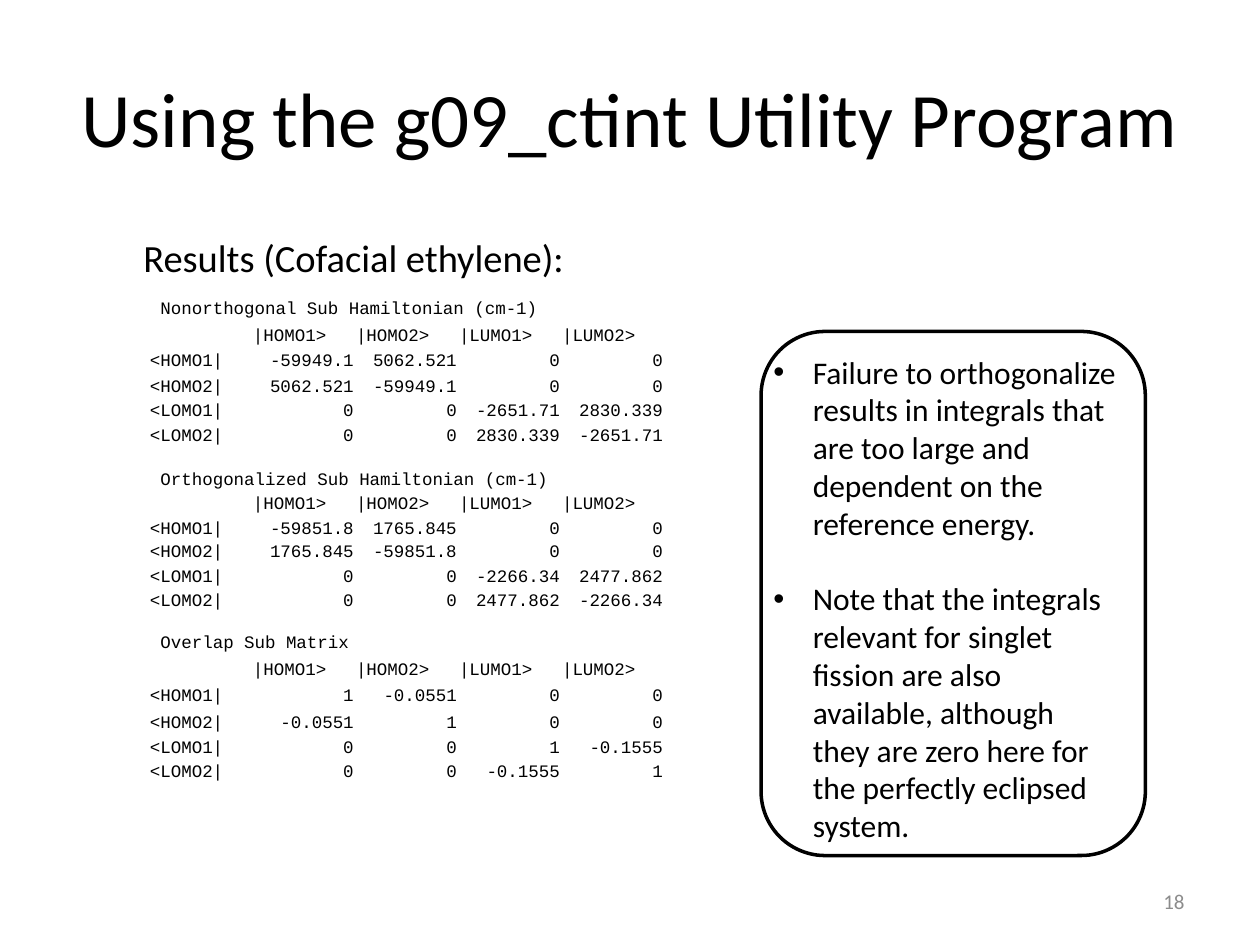
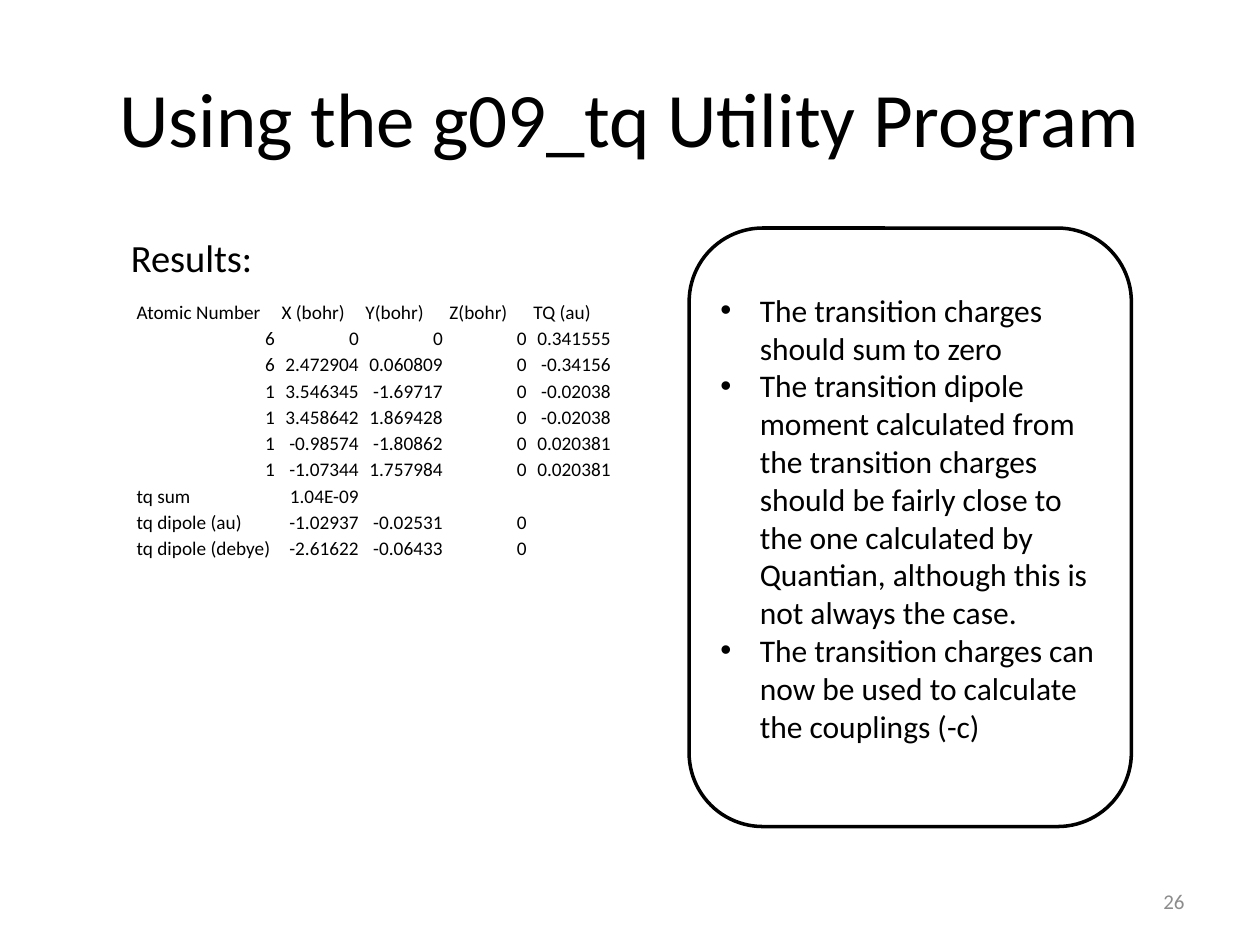
from dataclasses import dataclass

from lxml import etree
from pptx import Presentation
from pptx.dml.color import RGBColor
from pptx.enum.shapes import MSO_SHAPE
from pptx.enum.text import MSO_ANCHOR, PP_ALIGN
from pptx.oxml.ns import qn
from pptx.util import Pt

LEFT, CENTER, RIGHT = PP_ALIGN.LEFT, PP_ALIGN.CENTER, PP_ALIGN.RIGHT
TOP, MIDDLE, BOTTOM = MSO_ANCHOR.TOP, MSO_ANCHOR.MIDDLE, MSO_ANCHOR.BOTTOM
ROUNDED_RECTANGLE = MSO_SHAPE.ROUNDED_RECTANGLE


@dataclass(frozen=True)
class Theme:
    text: RGBColor = RGBColor(0, 0, 0)
    muted: RGBColor = RGBColor(0x8C, 0x8C, 0x8C)
    body_font: str = "Calibri"
    code_font: str = "Courier New"
    title_size: int = 44
    heading_size: int = 22
    note_size: int = 18
    number_size: int = 12
    matrix_size: int = 10
    charge_size: int = 11
    outline: int = 2
    bullet_indent: float = 22.5
    cell_inset: float = 0.7


theme = Theme()

matrix_blocks = [
    ("Nonorthogonal Sub Hamiltonian (cm-1)", 4, [
        "-59949.1 5062.521 0 0",
        "5062.521 -59949.1 0 0",
        "0 0 -2651.71 2830.339",
        "0 0 2830.339 -2651.71",
    ]),
    ("Orthogonalized Sub Hamiltonian (cm-1)", 4, [
        "-59851.8 1765.845 0 0",
        "1765.845 -59851.8 0 0",
        "0 0 -2266.34 2477.862",
        "0 0 2477.862 -2266.34",
    ]),
    ("Overlap Sub Matrix", 2, [
        "1 -0.0551 0 0",
        "-0.0551 1 0 0",
        "0 0 1 -0.1555",
        "0 0 -0.1555 1",
    ]),
]
matrix_rows, matrix_spans = [], {}
for block_title, span, values in matrix_blocks:
    matrix_spans[len(matrix_rows)] = span
    matrix_rows.append([block_title, "", "", "", ""])
    matrix_rows.append(["", "|HOMO1>", "|HOMO2>", "|LUMO1>", "|LUMO2>"])
    for label, line in zip(["<HOMO1|", "<HOMO2|", "<LOMO1|", "<LOMO2|"], values):
        matrix_rows.append([label, *line.split()])

charge_rows = [
    ["Atomic Number", "X (bohr)", "Y(bohr)", "Z(bohr)", "TQ (au)"],
    ["6", "0", "0", "0", "0.341555"],
    ["6", "2.472904", "0.060809", "0", "-0.34156"],
    ["1", "3.546345", "-1.69717", "0", "-0.02038"],
    ["1", "3.458642", "1.869428", "0", "-0.02038"],
    ["1", "-0.98574", "-1.80862", "0", "0.020381"],
    ["1", "-1.07344", "1.757984", "0", "0.020381"],
    ["tq sum", "1.04E-09", "", "", ""],
    ["tq dipole (au)", "-1.02937", "-0.02531", "0", ""],
    ["tq dipole (debye)", "-2.61622", "-0.06433", "0", ""],
]

pages = [
    {
        "title": "Using the g09_ctint Utility Program",
        "number": "18",
        "heading": "Results (Cofacial ethylene):",
        "heading_left": 74.9,
        "frame": (434.9, 189.4, 219.6, 299.5),
        "notes_box": (434.9, 198, 211, 290.9),
        "note_gap": 21.6,
        "notes": [
            "Failure to orthogonalize results in integrals that are too large "
            "and dependent on the reference energy.",
            "Note that the integrals relevant for singlet fission are also available, "
            "although they are zero here for the perfectly eclipsed system.",
        ],
        "table_at": (85, 164.2),
        "rows": matrix_rows,
        "spans": matrix_spans,
        "widths": [58.9] * 5,
        "heights": [18.7, 15.4, 14.3, 14.9, 13.7, 14.3,
                    25.1, 13.7, 14.3, 13.1, 14.3, 13.7,
                    24, 15.4, 14.9, 15.4, 14.3, 13.7],
        "font": theme.code_font,
        "size": theme.matrix_size,
        "indented": matrix_spans,
        "text_indent": 6,
    },
    {
        "title": "Using the g09_tq Utility Program",
        "number": "26",
        "heading": "Results:",
        "heading_left": 67.7,
        "frame": (393.8, 130.3, 252.7, 342),
        "notes_box": (404.6, 162.7, 230.4, 269.3),
        "note_gap": 0,
        "notes": [
            "The transition charges should sum to zero",
            "The transition dipole moment calculated from the transition charges should be "
            "fairly close to the one calculated by Quantian, although this is not always the case.",
            "The transition charges can now be used to calculate the couplings (-c)",
        ],
        "table_at": (74.9, 170.6),
        "rows": charge_rows,
        "spans": {},
        "widths": [82.8] + [48] * 4,
        "heights": [15] * len(charge_rows),
        "font": theme.body_font,
        "size": theme.charge_size,
        "indented": range(len(charge_rows)),
        "text_indent": 2.5,
    },
]


def style_paragraph(paragraph, size, alignment=LEFT, font=theme.body_font, color=theme.text):
    paragraph.alignment = alignment
    paragraph.font.name = font
    paragraph.font.size = Pt(size)
    paragraph.font.color.rgb = color


def add_text(slide, box, lines, size, alignment=LEFT, anchor=TOP, color=theme.text):
    frame = slide.shapes.add_textbox(*map(Pt, box)).text_frame
    frame.word_wrap = True
    frame.vertical_anchor = anchor
    frame.text = "\n".join(lines)
    for paragraph in frame.paragraphs:
        style_paragraph(paragraph, size, alignment, color=color)
    return frame


presentation = Presentation()
presentation.slide_width, presentation.slide_height = Pt(720), Pt(540)

for page in pages:
    slide = presentation.slides.add_slide(presentation.slide_layouts[6])
    add_text(slide, (36, 21.6, 648, 90), [page["title"]], theme.title_size, CENTER, MIDDLE)
    add_text(slide, (516, 500.5, 168, 28.8), [page["number"]], theme.number_size,
             RIGHT, MIDDLE, theme.muted)
    add_text(slide, (page["heading_left"], 130.3, 265, 33.8), [page["heading"]],
             theme.heading_size)

    outline = slide.shapes.add_shape(ROUNDED_RECTANGLE, *map(Pt, page["frame"]))
    outline.shadow.inherit = False
    outline.fill.background()
    outline.line.color.rgb = theme.text
    outline.line.width = Pt(theme.outline)

    notes = add_text(slide, page["notes_box"], page["notes"], theme.note_size)
    for paragraph in notes.paragraphs:
        properties = paragraph._p.get_or_add_pPr()
        properties.set("marL", str(Pt(theme.bullet_indent)))
        properties.set("indent", str(-Pt(theme.bullet_indent)))
        bullet_font = etree.Element(qn("a:buFont"), typeface="Arial")
        bullet = etree.Element(qn("a:buChar"), char="•")
        properties.find(qn("a:defRPr")).addprevious(bullet_font)
        bullet_font.addnext(bullet)
    for paragraph in notes.paragraphs[:-1]:
        paragraph.space_after = Pt(page["note_gap"])

    rows, widths, heights = page["rows"], page["widths"], page["heights"]
    table = slide.shapes.add_table(
        len(rows), len(widths), *map(Pt, page["table_at"]), Pt(sum(widths)), Pt(sum(heights))
    ).table
    table.first_row = table.horz_banding = False
    for column, width in zip(table.columns, widths):
        column.width = Pt(width)
    for row_index, (values, height) in enumerate(zip(rows, heights)):
        table.rows[row_index].height = Pt(height)
        for column_index, value in enumerate(values):
            cell = table.cell(row_index, column_index)
            numeric = value[-1:].isdigit()
            indent = page["text_indent"] if row_index in page["indented"] and not numeric else 0
            cell.fill.background()
            cell.vertical_anchor = BOTTOM
            cell.margin_left = Pt(theme.cell_inset + indent)
            cell.margin_right = cell.margin_top = Pt(theme.cell_inset)
            cell.margin_bottom = 0
            cell.text = value
            paragraph = cell.text_frame.paragraphs[0]
            style_paragraph(paragraph, page["size"], RIGHT if numeric else LEFT, page["font"])
            if not value:
                etree.SubElement(paragraph._p, qn("a:endParaRPr"), sz=str(page["size"] * 100))
    for row_index, span in page["spans"].items():
        table.cell(row_index, 0).merge(table.cell(row_index, span - 1))

presentation.save("out.pptx")
